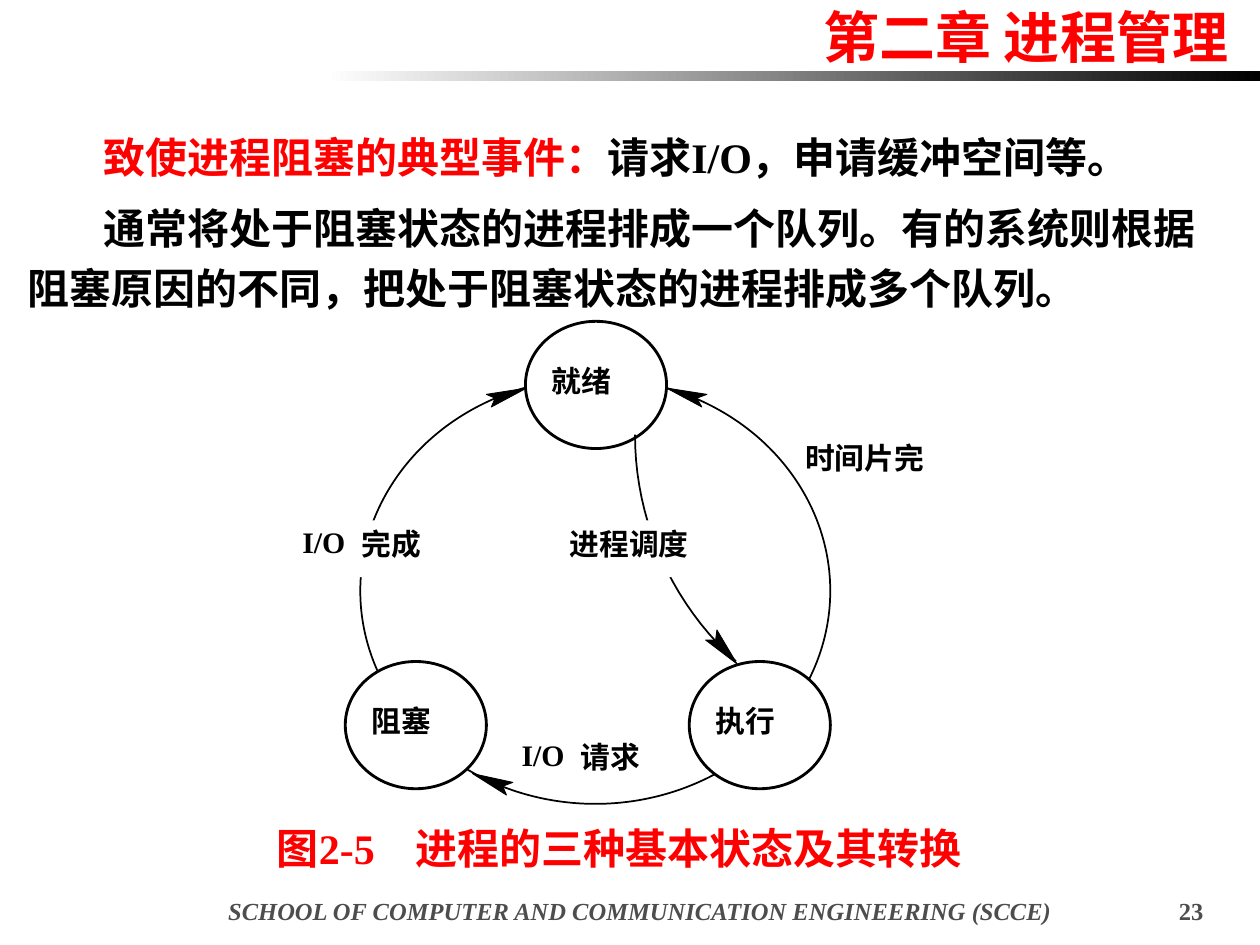
"""Build a slide on blocked processes with a three-state diagram."""
from math import cos, radians, sin

from lxml import etree
from pptx import Presentation
from pptx.dml.color import RGBColor
from pptx.enum.shapes import MSO_SHAPE
from pptx.enum.text import MSO_ANCHOR, MSO_AUTO_SIZE, PP_ALIGN
from pptx.oxml.ns import qn
from pptx.util import Inches, Pt

OVAL, RECT = MSO_SHAPE.OVAL, MSO_SHAPE.RECTANGLE
LEFT, MID, RIGHT = PP_ALIGN.LEFT, PP_ALIGN.CENTER, PP_ALIGN.RIGHT
TOP, CENTER = MSO_ANCHOR.TOP, MSO_ANCHOR.MIDDLE
FIXED = MSO_AUTO_SIZE.NONE

THEME = {
    "red": "FF0000", "black": "000000", "white": "FFFFFF", "gray": "4D4D4D",
    "serif": "Times New Roman", "sans": "Noto Sans CJK SC",
    "title": 32, "body": 24, "label": 17, "foot": 14,
}

TITLE = "第二章 进程管理"
BODY = [
    [("致使进程阻塞的典型事件：", "red"), ("请求I/O，申请缓冲空间等。", "black")],
    [("通常将处于阻塞状态的进程排成一个队列。有的系统则根据"
      "阻塞原因的不同，把处于阻塞状态的进程排成多个队列。", "black")],
]
CAPTION = "图2-5\t进程的三种基本状态及其转换"
SCHOOL = "SCHOOL OF COMPUTER AND COMMUNICATION ENGINEERING (SCCE)"
PAGE = "23"

RING = (2.86, 3, 3.73, 3.38)
NODE = (1.12, 1.01)
STATES = [("就绪", 4.17, 2.55), ("阻塞", 2.74, 5.25), ("执行", 5.47, 5.25)]
MASKS = [(4.36, 4.13, 1.74, 0.45), (2.12, 4.13, 1.74, 0.45)]
LABELS = [
    ("时间片完", 6.39, 3.49, 0.95), ("进程调度", 4.52, 4.17, 0.95),
    ("I/O", 2.4, 4.16, 0.34), ("完成", 2.87, 4.17, 0.47),
    ("I/O", 4.14, 5.85, 0.34), ("请求", 4.61, 5.86, 0.47),
]
HEADS = [
    [(5.57, 3.23), (5.53, 3.16), (5.61, 3.13), (5.29, 3.08)],
    [(3.86, 3.13), (3.93, 3.16), (3.9, 3.23), (4.18, 3.08)],
    [(4.02, 6.31), (3.99, 6.24), (4.07, 6.21), (3.75, 6.14)],
    [(5.69, 5), (5.68, 5.08), (5.6, 5.08), (5.85, 5.27)],
]
ARC = {"x": 5.04, "y": 3.45, "r": 2.42, "sweep": 48, "steps": 20}


def color(name):
    return RGBColor.from_string(THEME[name])


def place(shape, box):
    shape.left, shape.top, shape.width, shape.height = map(Inches, box)


def set_frame(frame, pad=(0.1, 0.05, 0.1, 0.05), wrap=True, anchor=TOP):
    frame.auto_size = FIXED
    frame.word_wrap = wrap
    frame.vertical_anchor = anchor
    (frame.margin_left, frame.margin_top,
     frame.margin_right, frame.margin_bottom) = map(Inches, pad)


def add_run(para, text, size, tone="black", face="serif", slant=False):
    run = para.add_run()
    run.text = text
    font = run.font
    font.name, font.size = THEME[face], Pt(THEME[size])
    font.bold, font.italic = True, slant
    font.color.rgb = color(tone)
    east = etree.SubElement(run._r.get_or_add_rPr(), qn("a:ea"))
    east.set("typeface", THEME["sans"])


def add_text(slide, text, box, size, tone="black", align=LEFT, slant=False, **opts):
    shape = slide.shapes.add_textbox(*map(Inches, box))
    set_frame(shape.text_frame, **opts)
    para = shape.text_frame.paragraphs[0]
    para.alignment = align
    add_run(para, text, size, tone, slant=slant)
    return para


def add_label(slide, text, left, top, width):
    add_text(slide, text, (left, top, width, 0.28), "label",
             pad=(0, 0, 0, 0), wrap=False)


def paint(shape, fill=None, line=None):
    shape.shadow.inherit = False
    if fill:
        shape.fill.solid()
        shape.fill.fore_color.rgb = color(fill)
    else:
        shape.fill.background()
    if line:
        shape.line.color.rgb = color("black")
        shape.line.width = Pt(line)
    else:
        shape.line.fill.background()


def add_shape(slide, kind, box, fill=None, line=None):
    shape = slide.shapes.add_shape(kind, *map(Inches, box))
    paint(shape, fill, line)
    return shape


def add_path(slide, points, closed, fill, line):
    dots = [(Inches(x), Inches(y)) for x, y in points]
    pen = slide.shapes.build_freeform(*dots[0])
    pen.add_line_segments(dots[1:], close=closed)
    paint(pen.convert_to_shape(), fill, line)


def add_header(slide):
    bar = add_shape(slide, RECT, (2.58, 0.56, 7.42, 0.08))
    bar.fill.gradient()
    bar.fill.gradient_angle = 0
    for stop, tone in zip(bar.fill.gradient_stops, ("white", "black")):
        stop.color.rgb = color(tone)
    title = slide.shapes.title
    place(title, (6.35, -0.03, 3.61, 0.64))
    set_frame(title.text_frame, pad=(0.1, 0.05, 0.21, 0.05), anchor=CENTER)
    para = title.text_frame.paragraphs[0]
    para.alignment = RIGHT
    add_run(para, TITLE, "title", "red", "sans")


def add_body(slide):
    body = slide.placeholders[1]
    place(body, (0.12, 0.91, 9.68, 1.63))
    frame = body.text_frame
    set_frame(frame)
    for i, runs in enumerate(BODY):
        para = frame.add_paragraph() if i else frame.paragraphs[0]
        para.alignment = LEFT
        para.line_spacing, para.space_before = 1.2, Pt(6)
        props = para._p.get_or_add_pPr()
        props.set("marL", "0")
        props.set("indent", str(Inches(0.6)))
        etree.SubElement(props, qn("a:buNone"))
        for text, tone in runs:
            add_run(para, text, "body", tone)


def add_diagram(slide):
    add_shape(slide, OVAL, RING, line=1)
    for name, left, top in STATES:
        add_shape(slide, OVAL, (left, top, *NODE), "white", 1.62)
        add_label(slide, name, left + 0.21, top + 0.33, 0.47)
    turns = [radians(ARC["sweep"] * i / ARC["steps"]) for i in range(ARC["steps"] + 1)]
    curve = [(ARC["x"] + ARC["r"] * (1 - cos(t)), ARC["y"] + ARC["r"] * sin(t))
             for t in turns]
    add_path(slide, curve, False, None, 1)
    for head in HEADS:
        add_path(slide, head, True, "black", 0.5)
    for box in MASKS:
        add_shape(slide, RECT, box, "white")
    for label in LABELS:
        add_label(slide, *label)


def add_caption(slide):
    para = add_text(slide, CAPTION, (2.1, 6.48, 5.9, 0.5), "body", "red")
    tabs = etree.SubElement(para._p.get_or_add_pPr(), qn("a:tabLst"))
    etree.SubElement(tabs, qn("a:tab"), pos=str(Inches(1.1)), algn="l")


def main():
    deck = Presentation()
    deck.slide_width, deck.slide_height = Inches(10), Inches(7.5)
    slide = deck.slides.add_slide(deck.slide_layouts[1])
    add_header(slide)
    add_body(slide)
    add_diagram(slide)
    add_caption(slide)
    add_text(slide, SCHOOL, (1.38, 7.06, 7.4, 0.28), "foot", "gray", MID, slant=True)
    add_text(slide, PAGE, (9.02, 7.06, 0.63, 0.28), "foot", "gray", RIGHT)
    deck.save("out.pptx")


if __name__ == "__main__":
    main()
